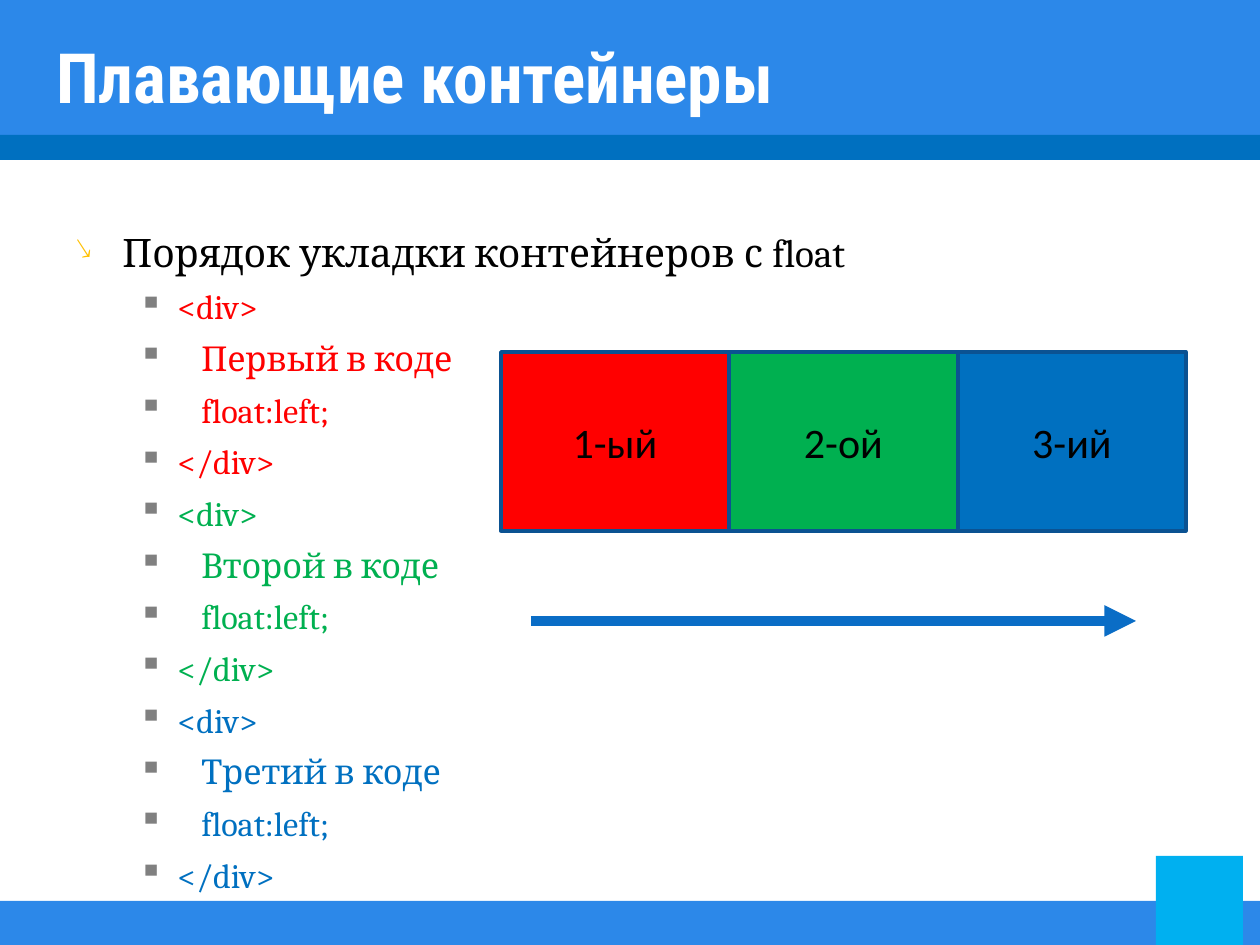
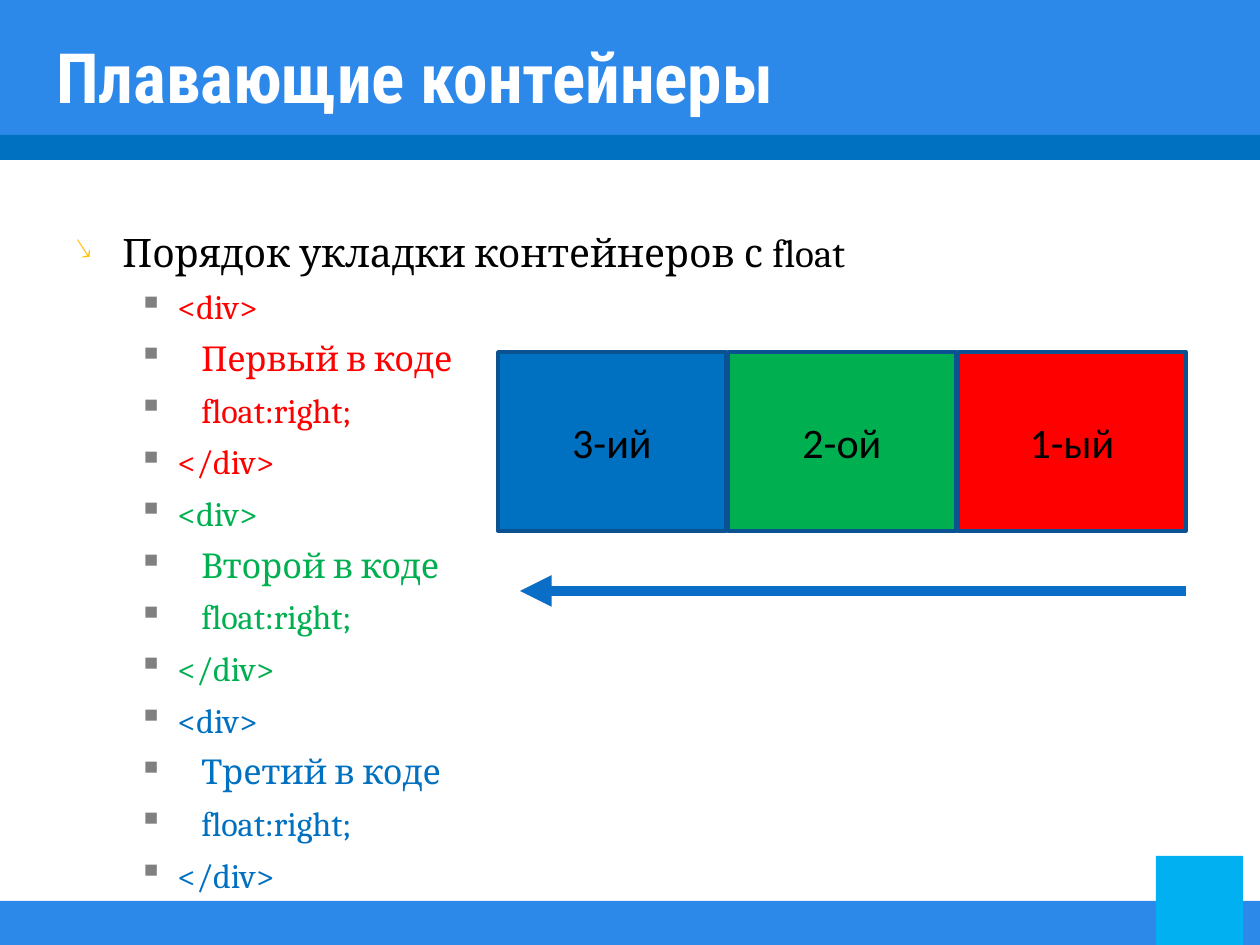
from lxml.etree import SubElement
from pptx import Presentation
from pptx.dml.color import RGBColor
from pptx.enum.shapes import MSO_CONNECTOR, MSO_SHAPE
from pptx.enum.text import MSO_ANCHOR, PP_ALIGN
from pptx.oxml.ns import qn
from pptx.util import Emu, Pt

PX = 914400 / 126
SLIDE_WIDTH, SLIDE_HEIGHT = 1260, 945
COLORS = {
    "header": "2C88E9",
    "stripe": "0070C0",
    "corner": "00B0F0",
    "title": "FFFFFF",
    "text": "000000",
    "first": "FF0000",
    "second": "00B050",
    "third": "0070C0",
    "outline": "0B5292",
    "arrow": "0A6DC6",
    "heading_bullet": "FFC000",
    "code_bullet": "808080",
}
FONTS = {
    "title": {"name": "Roboto Condensed", "size": Pt(39.6), "bold": True},
    "heading": {"name": "Cambria", "size": Pt(22.4)},
    "code": {"name": "Cambria", "size": Pt(19.6)},
    "container": {"name": "Calibri", "size": Pt(24)},
}
SPACING = {
    "heading": {"space_before": Pt(0), "line_spacing": Pt(28)},
    "code": {"space_before": Pt(6), "line_spacing": Pt(23.5)},
}
CONTAINERS = [
    ("first", "Первый", "1-ый"),
    ("second", "Второй", "2-ой"),
    ("third", "Третий", "3-ий"),
]


def px(*lengths):
    return [Emu(round(length * PX)) for length in lengths]


def rgb(key):
    return RGBColor.from_string(COLORS[key])


def set_values(target, values):
    for name, value in values.items():
        setattr(target, name, value)


def write(paragraph, text, font, color):
    run = paragraph.add_run()
    run.text = text
    set_values(run.font, FONTS[font])
    run.font.color.rgb = rgb(color)


def add_box(slide, box, fill):
    rectangle = slide.shapes.add_shape(MSO_SHAPE.RECTANGLE, *px(*box))
    rectangle.shadow.inherit = False
    rectangle.fill.solid()
    rectangle.fill.fore_color.rgb = rgb(fill)
    rectangle.line.fill.background()
    return rectangle


def add_text_frame(slide, box, anchor):
    frame = slide.shapes.add_textbox(*px(*box)).text_frame
    set_values(frame, {"word_wrap": True, "vertical_anchor": anchor})
    return frame


def add_bullet(paragraph, char, color, margin, hanging, percent=100):
    properties = paragraph._p.get_or_add_pPr()
    left, indent = px(margin, -hanging)
    properties.set("marL", str(left))
    properties.set("indent", str(indent))
    bullet_color = SubElement(properties, qn("a:buClr"))
    SubElement(bullet_color, qn("a:srgbClr"), val=COLORS[color])
    SubElement(properties, qn("a:buSzPct"), val=str(percent * 1000))
    SubElement(properties, qn("a:buChar"), char=char)


def add_frame(slide, title):
    header, stripe, footer = 135, 25, 44
    add_box(slide, (0, 0, SLIDE_WIDTH, header), "header")
    add_box(slide, (0, header, SLIDE_WIDTH, stripe), "stripe")
    add_box(slide, (0, SLIDE_HEIGHT - footer, SLIDE_WIDTH, footer), "header")
    add_box(slide, (1156, SLIDE_HEIGHT - 89, 87, 89), "corner")
    frame = add_text_frame(slide, (44, 37, 1134, 77), MSO_ANCHOR.MIDDLE)
    write(frame.paragraphs[0], title, "title", "title")


def add_code(slide, box, direction):
    frame = add_text_frame(slide, box, MSO_ANCHOR.TOP)
    heading = frame.paragraphs[0]
    set_values(heading, SPACING["heading"])
    add_bullet(heading, "↘", "heading_bullet", 47, 47, 75)
    write(heading, "Порядок укладки контейнеров с float", "heading", "text")
    for color, ordinal, _ in CONTAINERS:
        for text, nested in [
            ("<div>", False),
            (f"{ordinal} в коде", True),
            (f"float:{direction};", True),
            ("</div>", False),
        ]:
            line = frame.add_paragraph()
            set_values(line, {"level": 1, **SPACING["code"]})
            margin, hanging = (126, 63) if nested else (102, 39)
            add_bullet(line, "▪", "code_bullet", margin, hanging)
            write(line, text, "code", color)


def add_containers(slide, box, direction):
    left, top, width, height = box
    container_width = 228
    step = (width - container_width) / (len(CONTAINERS) - 1)
    for index, (color, _, label) in enumerate(CONTAINERS):
        place = index if direction == "left" else len(CONTAINERS) - 1 - index
        container = add_box(
            slide, (left + place * step, top, container_width, height), color)
        container.line.color.rgb = rgb("outline")
        container.line.width = Pt(2)
        container.text_frame.vertical_anchor = MSO_ANCHOR.MIDDLE
        caption = container.text_frame.paragraphs[0]
        caption.alignment = PP_ALIGN.CENTER
        write(caption, label, "container", "text")


def add_arrow(slide, start, end, y):
    arrow = slide.shapes.add_connector(MSO_CONNECTOR.STRAIGHT, *px(start, y, end, y))
    arrow.line.color.rgb = rgb("arrow")
    arrow.line.width = Pt(6)
    SubElement(arrow.line._get_or_add_ln(), qn("a:tailEnd"), type="triangle")
    SubElement(arrow._element.spPr, qn("a:effectLst"))


def add_float_slide(deck, direction, row, arrow):
    slide = deck.slides.add_slide(deck.slide_layouts[6])
    add_frame(slide, "Плавающие контейнеры")
    add_code(slide, (63, 220, 1134, 619), direction)
    add_containers(slide, row, direction)
    add_arrow(slide, *arrow)


def main():
    deck = Presentation()
    deck.slide_width, deck.slide_height = px(SLIDE_WIDTH, SLIDE_HEIGHT)
    add_float_slide(deck, "left", (501, 352, 685, 179), (531, 1136, 621))
    add_float_slide(deck, "right", (498, 352, 688, 179), (1186, 520, 591))
    deck.save("out.pptx")


if __name__ == "__main__":
    main()
